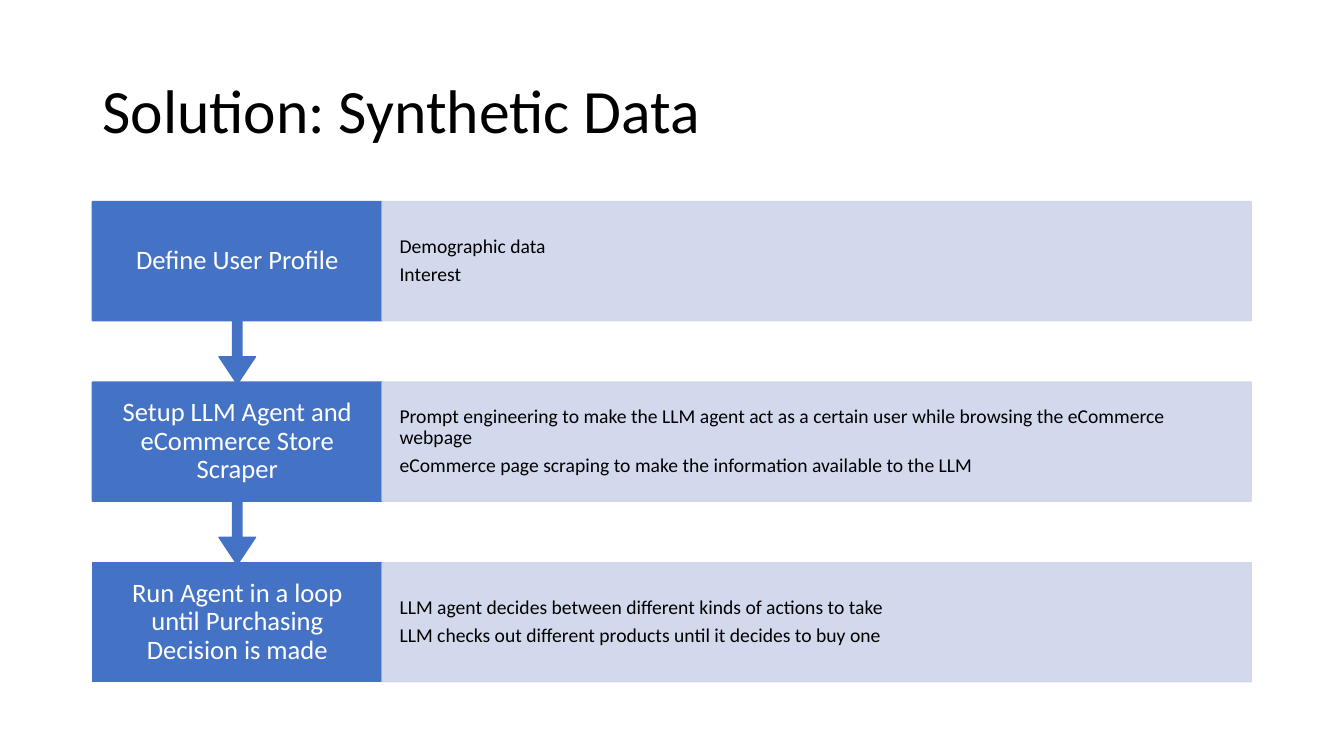
from dataclasses import dataclass

from lxml import etree
from pptx import Presentation
from pptx.dml.color import RGBColor
from pptx.enum.shapes import MSO_SHAPE
from pptx.enum.text import MSO_ANCHOR, PP_ALIGN
from pptx.oxml.ns import qn
from pptx.shapes.autoshape import Shape
from pptx.slide import Slide
from pptx.util import Cm, Pt

RECT = MSO_SHAPE.RECTANGLE
CALLOUT = MSO_SHAPE.DOWN_ARROW_CALLOUT
MIDDLE = MSO_ANCHOR.MIDDLE
LEFT, CENTER = PP_ALIGN.LEFT, PP_ALIGN.CENTER


@dataclass(frozen=True)
class Theme:
    """Colours, font and type sizes."""
    font: str = "Calibri"
    dark: str = "000000"
    light: str = "FFFFFF"
    step: str = "4472C4"
    detail: str = "CFD5EA"
    alpha: int = 90
    title: int = 44
    label: int = 19
    body: int = 14


@dataclass(frozen=True)
class Step:
    """One row of the process: its label and its details."""
    label: str
    details: tuple[str, ...]


THEME = Theme()
STEPS = (
    Step("Define User Profile", ("Demographic data", "Interest")),
    Step("Setup LLM Agent and eCommerce Store Scraper", (
        "Prompt engineering to make the LLM agent act as a certain user "
        "while browsing the eCommerce webpage",
        "eCommerce page scraping to make the information available to the LLM")),
    Step("Run Agent in a loop until Purchasing Decision is made", (
        "LLM agent decides between different kinds of actions to take",
        "LLM checks out different products until it decides to buy one")),
)

# Lengths in centimetres
EDGE, TOP = 2.33, 5.08
PITCH, HEIGHT, OVERLAP = 4.55, 3.0, 0.05
LABEL_W, DETAIL_W = 7.3, 21.9
ARROW_H = PITCH + OVERLAP
ARROW = (0.05, 0.1, 0.15, HEIGHT / ARROW_H)


def write(shape: Shape, lines: tuple[str, ...], size: int, color: str,
          align: PP_ALIGN, pad: tuple[float, float], after: float = 0) -> None:
    """Fill a shape with paragraphs; after is a share of the type size."""
    frame = shape.text_frame
    frame.word_wrap = True
    frame.vertical_anchor = MIDDLE
    frame.margin_left = frame.margin_right = Cm(pad[0])
    frame.margin_top = frame.margin_bottom = Cm(pad[1])
    for num, line in enumerate(lines):
        para = frame.add_paragraph() if num else frame.paragraphs[0]
        para.alignment = align
        para.line_spacing = 0.9
        para.space_after = Pt(size * after)
        run = para.add_run()
        run.text = line
        run.font.name = THEME.font
        run.font.size = Pt(size)
        run.font.color.rgb = RGBColor.from_string(color)


def block(slide: Slide, kind: MSO_SHAPE, left: float, top: float,
          width: float, height: float, color: str) -> Shape:
    """Add a shape with fill and outline of one colour."""
    shape = slide.shapes.add_shape(kind, Cm(left), Cm(top), Cm(width), Cm(height))
    shape.shadow.inherit = False
    shape.fill.solid()
    shape.fill.fore_color.rgb = RGBColor.from_string(color)
    shape.line.color.rgb = RGBColor.from_string(color)
    shape.line.width = Pt(1)
    return shape


def fade(shape: Shape, alpha: int) -> None:
    """Set the opacity, in percent, of fill and outline."""
    for color in shape.fill._xPr.iter(qn("a:srgbClr")):
        etree.SubElement(color, qn("a:alpha")).set("val", str(alpha * 1000))


def row(slide: Slide, step: Step, top: float, last: bool) -> None:
    """Draw a step; all but the last point down to the next one."""
    kind, height = (RECT, HEIGHT) if last else (CALLOUT, ARROW_H)
    label = block(slide, kind, EDGE, top, LABEL_W, height, THEME.step)
    if not last:
        for num, value in enumerate(ARROW):
            label.adjustments[num] = value
    write(label, (step.label,), THEME.label, THEME.light, CENTER, (0.5, 0.38), 0.35)
    detail = block(slide, RECT, EDGE + LABEL_W, top, DETAIL_W, HEIGHT, THEME.detail)
    fade(detail, THEME.alpha)
    write(detail, step.details, THEME.body, THEME.dark, LEFT, (0.44, 0.48), 0.35)


def main() -> None:
    """Build and save the slide."""
    deck = Presentation()
    deck.slide_width, deck.slide_height = Cm(33.87), Cm(19.05)
    slide = deck.slides.add_slide(deck.slide_layouts[6])
    title = slide.shapes.add_textbox(Cm(EDGE), Cm(1.02), Cm(LABEL_W + DETAIL_W), Cm(3.68))
    write(title, ("Solution: Synthetic Data",), THEME.title, THEME.dark, LEFT, (0.25, 0.13))
    final = len(STEPS) - 1
    for num in range(final, -1, -1):
        row(slide, STEPS[num], TOP + num * PITCH, num == final)
    deck.save("out.pptx")


main()
